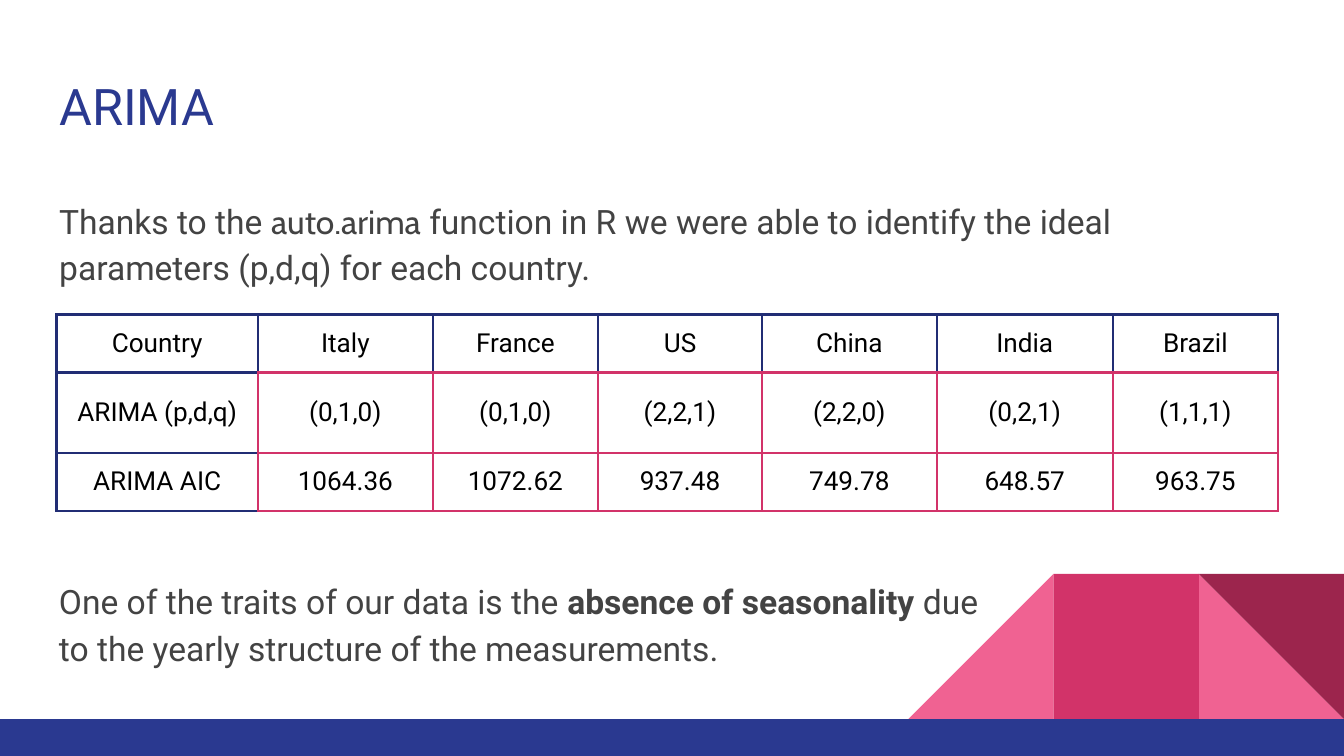
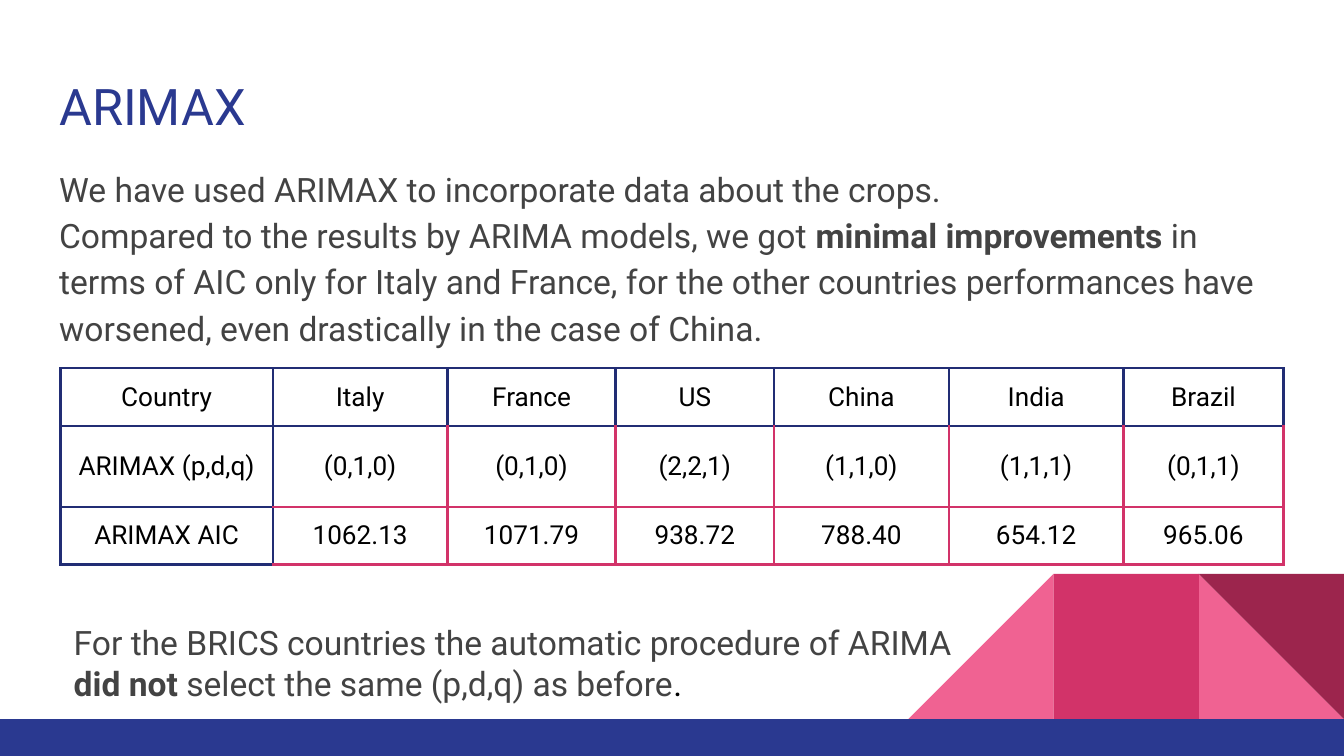
from lxml import etree
from pptx import Presentation
from pptx.dml.color import RGBColor
from pptx.enum import shapes, text
from pptx.oxml.ns import qn
from pptx.util import Inches, Pt

COLORS = {
    "navy": "2A3990",
    "border": "212D74",
    "pink": "D23369",
    "rose": "F06292",
    "wine": "9C254D",
    "gray": "434343",
    "black": "000000",
}
FONT = "Roboto"
TITLE_BOX = (0.34, 0.45, 9.32, 0.66)
COUNTRIES = ["Country", "Italy", "France", "US", "China", "India", "Brazil"]
ROW_HEIGHTS = [0.43, 0.6, 0.42]


def rgb(name):
    return RGBColor.from_string(COLORS[name])


def write(para, spans, size, color, align=text.PP_ALIGN.LEFT):
    para.alignment = align
    for words, changes in spans:
        if words == "\n":
            para.add_line_break()
            continue
        span = para.add_run()
        span.text = words
        span.font.size = Pt(size)
        span.font.name = changes.get("font", FONT)
        span.font.bold = changes.get("bold", False)
        span.font.color.rgb = rgb(changes.get("color", color))


def place(shape, box):
    shape.left, shape.top, shape.width, shape.height = map(Inches, box)


def prepare_frame(shape, anchor=text.MSO_ANCHOR.TOP):
    frame = shape.text_frame
    frame.word_wrap = True
    frame.auto_size = text.MSO_AUTO_SIZE.NONE
    frame.vertical_anchor = anchor
    frame.margin_left = frame.margin_right = Inches(0.1)
    frame.margin_top = frame.margin_bottom = Inches(0.1)
    return frame


def fill_paragraphs(frame, paragraphs, spacing, after):
    for index, spans in enumerate(paragraphs):
        para = frame.add_paragraph() if index else frame.paragraphs[0]
        para.line_spacing = spacing
        para.space_before = Pt(0)
        para.space_after = Pt(after)
        write(para, spans, 18, "gray")


def add_decoration(page, box):
    left, top, side, band_height = box
    triangle = shapes.MSO_SHAPE.RIGHT_TRIANGLE
    square = shapes.MSO_SHAPE.RECTANGLE
    parts = [
        (triangle, 2, "rose", False, 0),
        (triangle, 0, "rose", True, 0),
        (square, 1, "pink", False, 0),
        (triangle, 2, "wine", False, 180),
    ]
    pieces = [
        (kind, (left + step * side, top, side, side), color, flipped, turn)
        for kind, step, color, flipped, turn in parts
    ]
    pieces.append((square, (0, top + side, 10, band_height), "navy", False, 0))
    for kind, area, color, flipped, turn in pieces:
        shape = page.shapes.add_shape(kind, *map(Inches, area))
        shape.shadow.inherit = False
        shape.fill.solid()
        shape.fill.fore_color.rgb = rgb(color)
        shape.line.fill.background()
        shape.rotation = turn
        if flipped:
            shape.element.spPr.find(qn("a:xfrm")).set("flipH", "1")
        page.shapes.title.element.addprevious(shape.element)


def add_title(page, words, box):
    title = page.shapes.title
    place(title, box)
    frame = prepare_frame(title, text.MSO_ANCHOR.BOTTOM)
    write(frame.paragraphs[0], [(words, {})], 27, "navy")


def add_body(page, paragraphs, box, after):
    body = page.placeholders[1]
    place(body, box)
    frame = prepare_frame(body)
    fill_paragraphs(frame, paragraphs, 1.15, after)
    for para in frame.paragraphs:
        settings = para._p.get_or_add_pPr()
        settings.set("marL", "0")
        settings.set("indent", "0")
        etree.SubElement(settings, qn("a:buNone"))


def add_note(page, spans, box, spacing):
    note = page.shapes.add_textbox(*map(Inches, box))
    fill_paragraphs(prepare_frame(note), [spans], spacing, 0)


def border_colors(row, column, seam):
    if row and column:
        left = seam if column == 1 else "pink"
        top = seam if row == 1 else "pink"
        return {"L": left, "R": "pink", "T": top, "B": "pink"}
    right = seam if row else "border"
    bottom = seam if column else "border"
    return {"L": "border", "R": right, "T": "border", "B": bottom}


def set_borders(cell, sides):
    settings = cell._tc.get_or_add_tcPr()
    for side, color in sides.items():
        line = etree.SubElement(settings, qn(f"a:ln{side}"), w=str(Pt(1.5)))
        fill = etree.SubElement(line, qn("a:solidFill"))
        etree.SubElement(fill, qn("a:srgbClr"), val=COLORS[color])


def add_results_table(page, rows, corner, widths, seam):
    left, top = corner
    frame = page.shapes.add_table(
        len(rows), len(widths), Inches(left), Inches(top),
        Inches(sum(widths)), Inches(sum(ROW_HEIGHTS)),
    )
    table = frame.table
    table.first_row = table.horz_banding = False
    for column, width in zip(table.columns, widths):
        column.width = Inches(width)
    for row, height in zip(table.rows, ROW_HEIGHTS):
        row.height = Inches(height)
    for row, values in enumerate(rows):
        for column, value in enumerate(values):
            cell = table.cell(row, column)
            cell.margin_left = cell.margin_right = Inches(0.1)
            cell.margin_top = cell.margin_bottom = Inches(0.1)
            cell.vertical_anchor = text.MSO_ANCHOR.MIDDLE
            set_borders(cell, border_colors(row, column, seam))
            cell.fill.background()
            write(cell.text_frame.paragraphs[0], [(value, {})], 14, "black",
                  text.PP_ALIGN.CENTER)


def add_model_page(deck, model, body, orders, scores, grid, note):
    page = deck.slides.add_slide(deck.slide_layouts[1])
    add_decoration(page, (6.76, 4.27, 1.08, 0.28))
    add_title(page, model, TITLE_BOX)
    add_body(page, **body)
    rows = [COUNTRIES, [f"{model} (p,d,q)", *orders], [f"{model} AIC", *scores]]
    add_results_table(page, rows, **grid)
    add_note(page, **note)


def main():
    deck = Presentation()
    deck.slide_width = Inches(10)
    deck.slide_height = Inches(5.625)
    bold = {"bold": True}

    add_model_page(
        deck, "ARIMA",
        body={
            "paragraphs": [[
                ("Thanks to the ", {}),
                ("auto.arima", {"font": "Cabin"}),
                (" function in R we were able to identify the ideal "
                 "parameters (p,d,q) for each country.", {}),
            ]],
            "box": (0.34, 1.35, 9.32, 0.93),
            "after": 12,
        },
        orders=["(0,1,0)", "(0,1,0)", "(2,2,1)", "(2,2,0)", "(0,2,1)", "(1,1,1)"],
        scores=["1064.36", "1072.62", "937.48", "749.78", "648.57", "963.75"],
        grid={
            "corner": (0.42, 2.34),
            "widths": [1.5, 1.3, 1.23, 1.22, 1.3, 1.31, 1.23],
            "seam": "pink",
        },
        note={
            "spans": [
                ("One of the traits of our data is the ", {}),
                ("absence of seasonality", bold),
                (" due ", {}),
                ("\n", {}),
                ("to the yearly structure of the measurements.", {}),
            ],
            "box": (0.34, 4.18, 7.61, 0.85),
            "spacing": 1.15,
        },
    )

    add_model_page(
        deck, "ARIMAX",
        body={
            "paragraphs": [
                [("We have used ARIMAX to incorporate data about the crops.", {})],
                [
                    ("Compared to the results by ARIMA models, we got ", {}),
                    ("minimal improvements", bold),
                    (" in terms of AIC only for Italy and France, for the other "
                     "countries performances have worsened, even drastically in "
                     "the case of China.", {}),
                ],
            ],
            "box": (0.34, 1.11, 9.32, 3.99),
            "after": 0,
        },
        orders=["(0,1,0)", "(0,1,0)", "(2,2,1)", "(1,1,0)", "(1,1,1)", "(0,1,1)"],
        scores=["1062.13", "1071.79", "938.72", "788.40", "654.12", "965.06"],
        grid={
            "corner": (0.45, 2.74),
            "widths": [1.58, 1.3, 1.25, 1.18, 1.3, 1.3, 1.19],
            "seam": "border",
        },
        note={
            "spans": [
                ("For the BRICS countries the automatic procedure of ARIMA ", {}),
                ("did not", bold),
                (" select the same (p,d,q) as before", {}),
                (".", {"color": "black"}),
            ],
            "box": (0.45, 4.53, 6.88, 0.81),
            "spacing": 1.0,
        },
    )

    deck.save("out.pptx")


if __name__ == "__main__":
    main()
